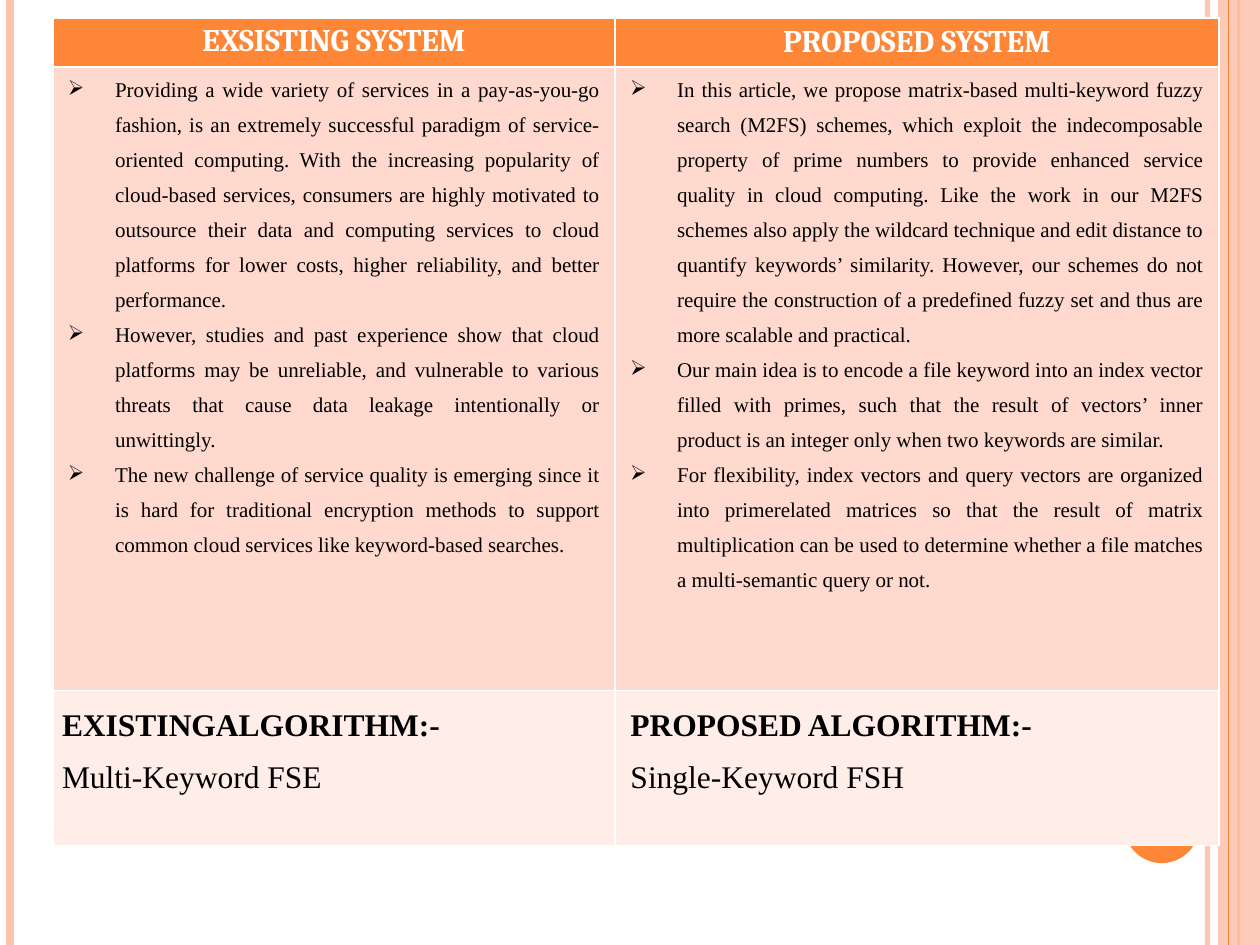
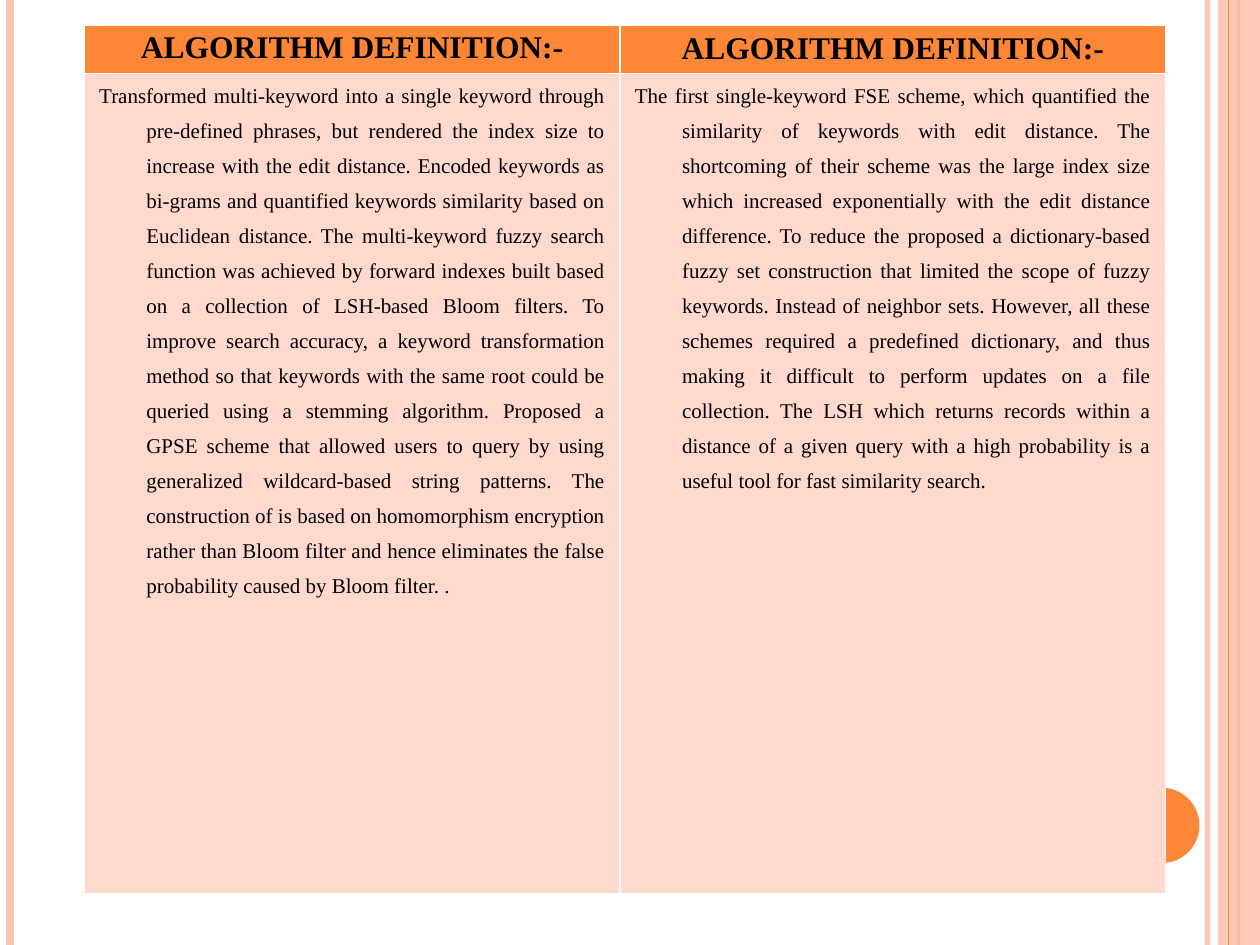
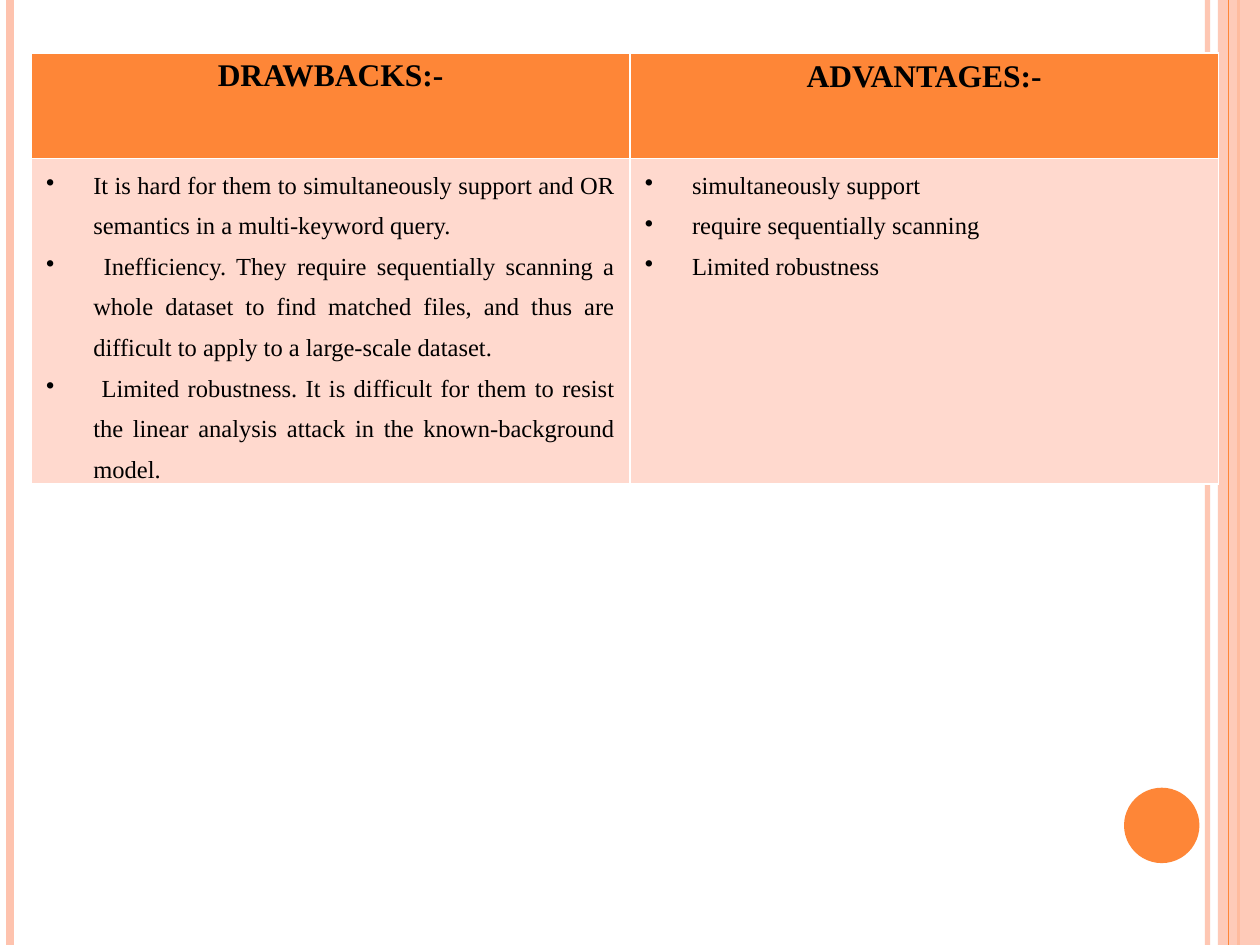
from dataclasses import dataclass, replace

from lxml.etree import SubElement
from pptx import Presentation
from pptx.dml.color import RGBColor
from pptx.enum.shapes import MSO_CONNECTOR, MSO_SHAPE
from pptx.enum.text import PP_ALIGN
from pptx.oxml.ns import qn
from pptx.util import Cm, Pt

ORANGE, PEACH = "FE8637", "FEC3AE"
BAND_DARK, BAND_LIGHT = "FFD9CE", "FFEDE8"
WHITE, BLACK = "FFFFFF", "000000"
WIDTH, HEIGHT = 25.4, 19.05


@dataclass(frozen=True)
class Rule:
    """A full-height vertical line."""
    x: float
    weight: float
    color: str
    alpha: int = 100


@dataclass(frozen=True)
class Style:
    """Paragraph and font settings."""
    size: float = 12
    bold: bool = False
    color: str = BLACK
    font: str = "Times New Roman"
    align: PP_ALIGN = PP_ALIGN.JUSTIFY
    spacing: float | None = 1.5
    after: float | None = None
    left: float = 0
    first: float = 0
    bullet: str = ""


@dataclass(frozen=True)
class Para:
    """One paragraph of a cell."""
    text: str
    style: Style


@dataclass(frozen=True)
class CellSpec:
    """Content, fill and (side, vertical) margins of a cell."""
    paras: list[Para]
    fill: str = BAND_DARK
    margins: tuple[float, float] = (0.3, 0)


@dataclass(frozen=True)
class Comparison:
    """A two-column comparison table; lengths in cm."""
    left: float
    top: float
    cols: list[float]
    rows: list[float]
    cells: list[list[CellSpec]]


RULES_BELOW = [Rule(24.34, 3, PEACH, 93), Rule(0.21, 4.5, PEACH), Rule(24.97, 1.5, ORANGE)]
RULE_ABOVE = Rule(24.77, 0.75, ORANGE)

HANGING = Style(left=0.95, first=-0.95)
ARROWED = replace(HANGING, bullet="➢")
DOTTED = replace(HANGING, size=14, bullet="•")
HEADING = Style(size=18, bold=True, align=PP_ALIGN.CENTER, spacing=None)


def rgb(color: str) -> RGBColor:
    """Turn a hex string into a colour."""
    return RGBColor.from_string(color)


def set_alpha(sp, alpha: int) -> None:
    """Make the solid colour of a shape or line partly transparent."""
    if alpha < 100:
        clr = sp._element.spPr.find(f".//{qn('a:srgbClr')}")
        SubElement(clr, qn("a:alpha")).set("val", str(alpha * 1000))


def add_rule(slide, rule: Rule):
    """Draw a vertical line over the whole slide height."""
    sp = slide.shapes.add_connector(
        MSO_CONNECTOR.STRAIGHT, Cm(rule.x), 0, Cm(rule.x), Cm(HEIGHT))
    sp.line.color.rgb = rgb(rule.color)
    sp.line.width = Pt(rule.weight)
    set_alpha(sp, rule.alpha)
    SubElement(sp._element.spPr, qn("a:effectLst"))
    return sp


def add_block(slide, kind: MSO_SHAPE, box: tuple[float, ...], color: str, alpha: int = 100):
    """Draw a filled shape without outline."""
    sp = slide.shapes.add_shape(kind, *(Cm(v) for v in box))
    sp.shadow.inherit = False
    sp.fill.solid()
    sp.fill.fore_color.rgb = rgb(color)
    sp.line.fill.background()
    set_alpha(sp, alpha)
    return sp


def decorate_master(prs, slide) -> None:
    """Draw the side bands and the disc, then move them to the master."""
    shapes = [add_rule(slide, rule) for rule in RULES_BELOW]
    shapes.append(add_block(slide, MSO_SHAPE.RECTANGLE, (24.55, 0, 0.85, HEIGHT), PEACH, 87))
    shapes.append(add_rule(slide, RULE_ABOVE))
    shapes.append(add_block(slide, MSO_SHAPE.OVAL, (22.66, 15.88, 1.52, 1.52), ORANGE))
    tree = prs.slide_master.shapes._spTree
    for number, sp in enumerate(shapes, start=101):
        sp._element.xpath(".//p:cNvPr")[0].set("id", str(number))
        tree.append(sp._element)


def write_para(p, para: Para) -> None:
    """Fill and format one paragraph."""
    style = para.style
    p.alignment = style.align
    if style.spacing:
        p.line_spacing = style.spacing
    if style.after:
        p.space_after = Pt(style.after)
    pPr = p._p.get_or_add_pPr()
    pPr.set("marL", str(Cm(style.left)))
    pPr.set("indent", str(Cm(style.first)))
    if style.bullet:
        SubElement(pPr, qn("a:buChar")).set("char", style.bullet)
    r = p.add_run()
    r.text = para.text
    r.font.name = style.font
    r.font.size = Pt(style.size)
    r.font.bold = style.bold
    r.font.color.rgb = rgb(style.color)


def fill_cell(cell, spec: CellSpec) -> None:
    """Format a table cell and write its paragraphs."""
    side, vertical = spec.margins
    cell.margin_left = cell.margin_right = Cm(side)
    cell.margin_top = cell.margin_bottom = Cm(vertical)
    cell.fill.solid()
    cell.fill.fore_color.rgb = rgb(spec.fill)
    tf = cell.text_frame
    for i, para in enumerate(spec.paras):
        write_para(tf.add_paragraph() if i else tf.paragraphs[0], para)


def add_comparison(slide, spec: Comparison) -> None:
    """Build a comparison table."""
    table = slide.shapes.add_table(
        len(spec.rows), len(spec.cols), Cm(spec.left), Cm(spec.top),
        Cm(sum(spec.cols)), Cm(sum(spec.rows))).table
    for col, width in zip(table.columns, spec.cols):
        col.width = Cm(width)
    for row, height, specs in zip(table.rows, spec.rows, spec.cells):
        row.height = Cm(height)
        for cell, cell_spec in zip(row.cells, specs):
            fill_cell(cell, cell_spec)


def headings(left: str, right: str, style: Style = HEADING) -> list[CellSpec]:
    """Describe the header row."""
    return [
        CellSpec([Para(left, replace(style, spacing=1.15, after=10))], ORANGE),
        CellSpec([Para(right, style)], ORANGE, (0.25, 0.13)),
    ]


def body(style: Style, *texts: str) -> CellSpec:
    """Describe a body cell with one paragraph per text."""
    return CellSpec([Para(text, style) for text in texts])


def algorithm(label: str, name: str, left: float = 0) -> CellSpec:
    """Describe a cell that names an algorithm."""
    style = Style(size=18, left=left)
    return CellSpec([Para(label, replace(style, bold=True)), Para(name, style)],
                    BAND_LIGHT, (0.18, 0))


SYSTEMS = Comparison(1.07, 0.36, [11.33, 12.17], [0.91, 12.57, 3.12], [
    headings("EXSISTING SYSTEM", "PROPOSED SYSTEM",
             replace(HEADING, color=WHITE, font="Cambria")),
    [
        body(
            ARROWED,
            "Providing a wide variety of services in a pay-as-you-go fashion, is an extremely "
            "successful paradigm of service-oriented computing. With the increasing popularity "
            "of cloud-based services, consumers are highly motivated to outsource their data "
            "and computing services to cloud platforms for lower costs, higher reliability, "
            "and better performance.",
            "However, studies and past experience show that cloud platforms may be unreliable, "
            "and vulnerable to various threats that cause data leakage intentionally or "
            "unwittingly.",
            "The new challenge of service quality is emerging since it is hard for traditional "
            "encryption methods to support common cloud services like keyword-based searches."),
        body(
            ARROWED,
            "In this article, we propose matrix-based multi-keyword fuzzy search (M2FS) "
            "schemes, which exploit the indecomposable property of prime numbers to provide "
            "enhanced service quality in cloud computing. Like the work in our M2FS schemes "
            "also apply the wildcard technique and edit distance to quantify keywords’ "
            "similarity. However, our schemes do not require the construction of a predefined "
            "fuzzy set and thus are more scalable and practical.",
            "Our main idea is to encode a file keyword into an index vector filled with primes, "
            "such that the result of vectors’ inner product is an integer only when two "
            "keywords are similar.",
            "For flexibility, index vectors and query vectors are organized into primerelated "
            "matrices so that the result of matrix multiplication can be used to determine "
            "whether a file matches a multi-semantic query or not."),
    ],
    [
        algorithm("EXISTINGALGORITHM:-", "Multi-Keyword FSE"),
        algorithm("PROPOSED ALGORITHM:-", "Single-Keyword FSH", 0.13),
    ],
])

DEFINITIONS = Comparison(1.7, 0.51, [10.8, 11], [0.97, 16.54], [
    headings("ALGORITHM DEFINITION:-", "ALGORITHM DEFINITION:-"),
    [
        body(
            HANGING,
            "Transformed multi-keyword into a single keyword through pre-defined phrases, but "
            "rendered the index size to increase with the edit distance. Encoded keywords as "
            "bi-grams and quantified keywords similarity based on Euclidean distance. The "
            "multi-keyword fuzzy search function was achieved by forward indexes built based "
            "on a collection of LSH-based Bloom filters. To improve search accuracy, a keyword "
            "transformation method so that keywords with the same root could be queried using "
            "a stemming algorithm. Proposed a GPSE scheme that allowed users to query by using "
            "generalized wildcard-based string patterns. The construction of is based on "
            "homomorphism encryption rather than Bloom filter and hence eliminates the false "
            "probability caused by Bloom filter. ."),
        body(
            HANGING,
            "The first single-keyword FSE scheme, which quantified the similarity of keywords "
            "with edit distance. The shortcoming of their scheme was the large index size "
            "which increased exponentially with the edit distance difference. To reduce the "
            "proposed a dictionary-based fuzzy set construction that limited the scope of "
            "fuzzy keywords. Instead of neighbor sets. However, all these schemes required a "
            "predefined dictionary, and thus making it difficult to perform updates on a file "
            "collection. The LSH which returns records within a distance of a given query with "
            "a high probability is a useful tool for fast similarity search."),
    ],
])

TRADE_OFFS = Comparison(0.63, 1.07, [12.07, 11.86], [2.13, 6.12], [
    headings("DRAWBACKS:-", "ADVANTAGES:-"),
    [
        body(
            DOTTED,
            "It is hard for them to simultaneously support and OR semantics in a "
            "multi-keyword query.",
            " Inefficiency. They require sequentially scanning a whole dataset to find matched "
            "files, and thus are difficult to apply to a large-scale dataset.",
            " Limited robustness. It is difficult for them to resist the linear analysis "
            "attack in the known-background model."),
        body(DOTTED, "simultaneously support", "require sequentially scanning",
             "Limited robustness"),
    ],
])


def main() -> None:
    """Build the deck."""
    prs = Presentation()
    prs.slide_width, prs.slide_height = Cm(WIDTH), Cm(HEIGHT)
    blank = prs.slide_layouts[6]
    slides = [prs.slides.add_slide(blank) for _ in range(3)]
    decorate_master(prs, slides[0])
    for slide, spec in zip(slides, (SYSTEMS, DEFINITIONS, TRADE_OFFS)):
        add_comparison(slide, spec)
    prs.save("out.pptx")


if __name__ == "__main__":
    main()
